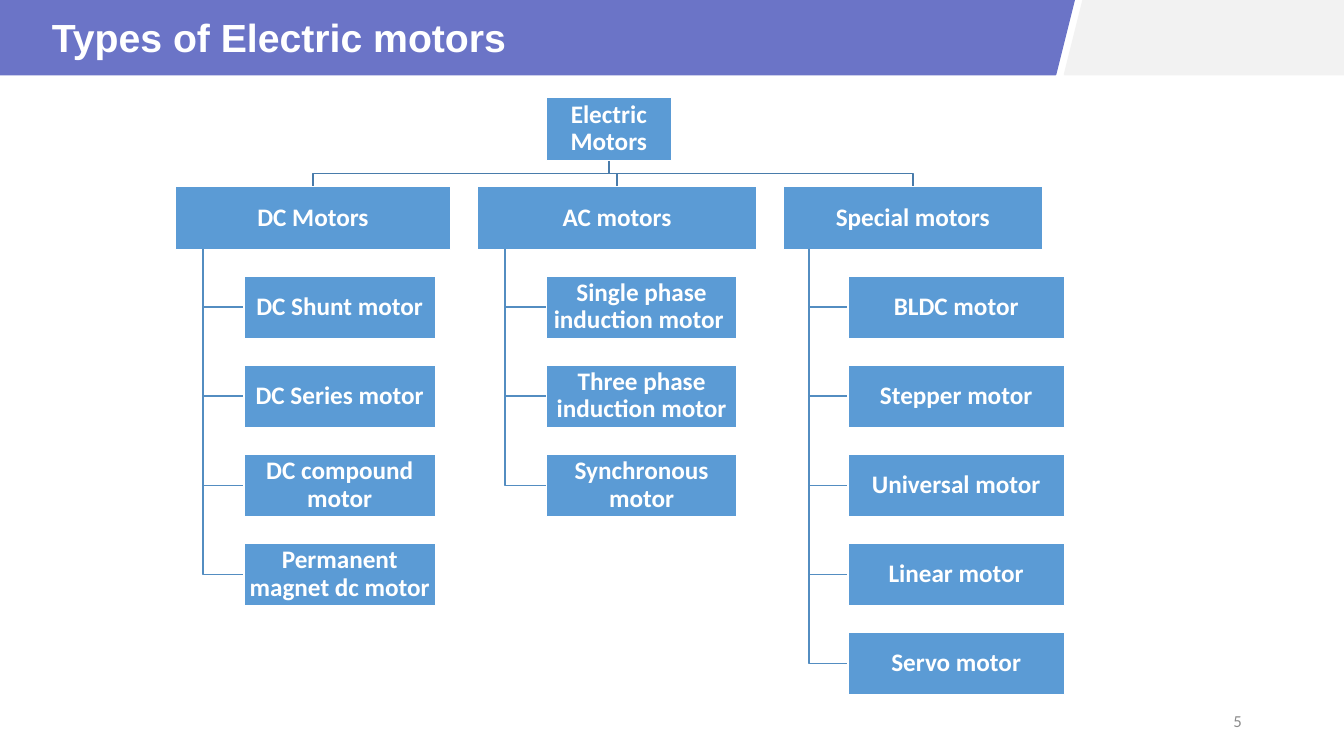
import pptx
import pptx.dml.color
import pptx.enum.shapes
import pptx.enum.text
import pptx.util

SHAPE = pptx.enum.shapes.MSO_SHAPE
ALIGN = pptx.enum.text.PP_ALIGN

COLORS = {
    "title_band": "6B74C7",
    "side_band": "F2F2F2",
    "box": "5B9BD5",
    "white": "FFFFFF",
    "root_line": "497CAB",
    "branch_line": "538DC1",
    "page_number": "8C8C8C",
}

SLIDE_WIDTH = pptx.util.Inches(13.33)
SLIDE_HEIGHT = pptx.util.Inches(7.5)

# Horizontal and vertical measures are percentages of the slide's size
FIRST_ROW, ROW_STEP, BOX_HEIGHT = 12.93, 11.78, 8.27
TRUNK_SHARE = 0.1  # where a branch line leaves its parent box

ROOT = ("Electric Motors", 40.65, 9.3)

# Each branch: heading, left, width, left of the types, width of the types, types
BRANCHES = [
    ("DC Motors", 13.05, 20.48, 18.15, 14.25,
     ["DC Shunt motor", "DC Series motor", "DC compound motor",
      "Permanent magnet dc motor"]),
    ("AC motors", 35.48, 20.85, 40.65, 14.18,
     ["Single phase induction motor ", "Three phase induction motor",
      "Synchronous motor"]),
    ("Special motors", 58.28, 19.28, 63.08, 16.13,
     ["BLDC motor", "Stepper motor", "Universal motor", "Linear motor",
      "Servo motor"]),
]


def across(percent):
    return round(SLIDE_WIDTH * percent / 100)


def down(percent):
    return round(SLIDE_HEIGHT * percent / 100)


def row_top(row):
    return FIRST_ROW + row * ROW_STEP


def rgb(name):
    return pptx.dml.color.RGBColor.from_string(COLORS[name])


def write_text(shape, text, size, font="Calibri", color="white", bold=True,
               align=ALIGN.CENTER, line_spacing=None, inset=None):
    frame = shape.text_frame
    frame.word_wrap = True
    frame.vertical_anchor = pptx.enum.text.MSO_ANCHOR.MIDDLE
    if inset is not None:
        frame.margin_left = frame.margin_right = pptx.util.Inches(inset)
        frame.margin_top = frame.margin_bottom = pptx.util.Inches(inset)
    paragraph = frame.paragraphs[0]
    paragraph.alignment = align
    paragraph.line_spacing = line_spacing
    run = paragraph.add_run()
    run.text = text
    run.font.name = font
    run.font.size = pptx.util.Pt(size)
    run.font.bold = bold
    run.font.color.rgb = rgb(color)


def set_line(shape, color):
    shape.shadow.inherit = False
    shape.line.color.rgb = rgb(color)
    shape.line.width = pptx.util.Pt(1)


def add_filled(slide, kind, left, top, width, height, fill, line):
    shape = slide.shapes.add_shape(
        kind, across(left), down(top), across(width), down(height))
    shape.fill.solid()
    shape.fill.fore_color.rgb = rgb(fill)
    set_line(shape, line)
    return shape


def add_box(slide, text, left, row, width):
    box = add_filled(slide, SHAPE.RECTANGLE, left, row_top(row), width,
                     BOX_HEIGHT, "box", "white")
    write_text(box, text, 18, line_spacing=0.9, inset=0.01)


def add_path(slide, points, color):
    start, *rest = [(across(x), down(y)) for x, y in points]
    builder = slide.shapes.build_freeform(*start)
    builder.add_line_segments(rest, close=False)
    path_shape = builder.convert_to_shape()
    path_shape.fill.background()
    set_line(path_shape, color)


def add_root_line(slide, branch_center):
    root_center = ROOT[1] + ROOT[2] / 2
    bottom, target = row_top(0) + BOX_HEIGHT, row_top(1)
    middle = (bottom + target) / 2
    add_path(slide, [(root_center, bottom), (root_center, middle),
                     (branch_center, middle), (branch_center, target)],
             "root_line")


def add_branch(slide, heading, left, width, type_left, type_width, types):
    trunk = left + width * TRUNK_SHARE
    add_root_line(slide, left + width / 2)
    add_box(slide, heading, left, 1, width)
    for row, motor_type in enumerate(types, start=2):
        center = row_top(row) + BOX_HEIGHT / 2
        add_path(slide, [(trunk, row_top(1) + BOX_HEIGHT), (trunk, center),
                         (type_left, center)], "branch_line")
        add_box(slide, motor_type, type_left, row, type_width)


def add_header(slide):
    title_band = add_filled(slide, SHAPE.PARALLELOGRAM, -4.5, -0.13, 84.45, 10,
                            "title_band", "title_band")
    write_text(title_band, "Types of Electric motors", 28, font="Arial",
               align=ALIGN.LEFT)
    add_filled(slide, SHAPE.PARALLELOGRAM, 79.2, -0.13, 27.23, 10,
               "side_band", "side_band")


def add_page_number(slide):
    box = slide.shapes.add_textbox(
        across(70.65), down(92.67), across(22.5), down(5.33))
    write_text(box, "5", 12, color="page_number", bold=False,
               align=ALIGN.RIGHT)


def main():
    presentation = pptx.Presentation()
    presentation.slide_width = SLIDE_WIDTH
    presentation.slide_height = SLIDE_HEIGHT
    slide = presentation.slides.add_slide(presentation.slide_layouts[6])

    # Header and page number
    add_page_number(slide)
    add_header(slide)

    # Tree of motor types
    for branch in BRANCHES:
        add_branch(slide, *branch)
    root_text, root_left, root_width = ROOT
    add_box(slide, root_text, root_left, 0, root_width)

    presentation.save("out.pptx")


if __name__ == "__main__":
    main()
